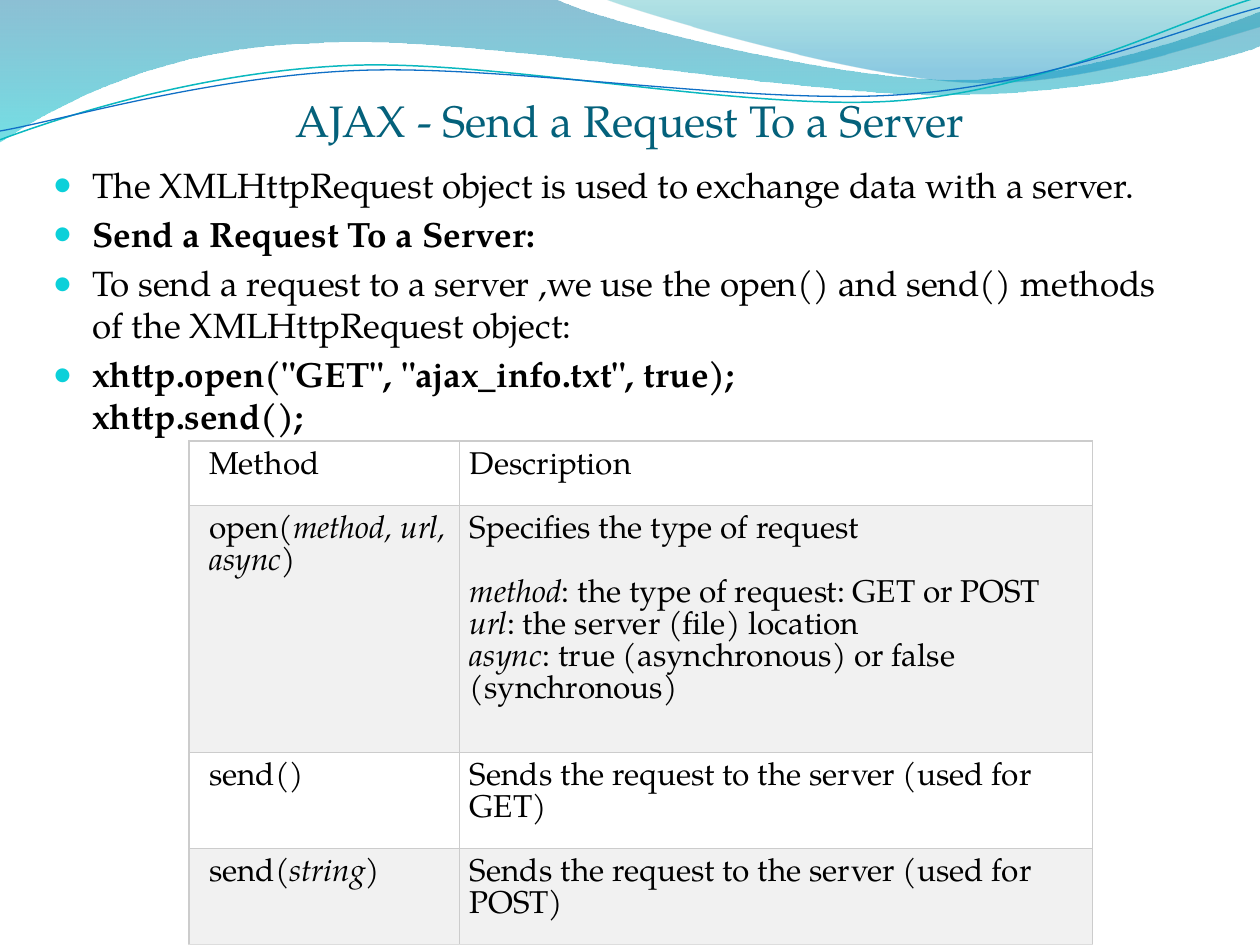
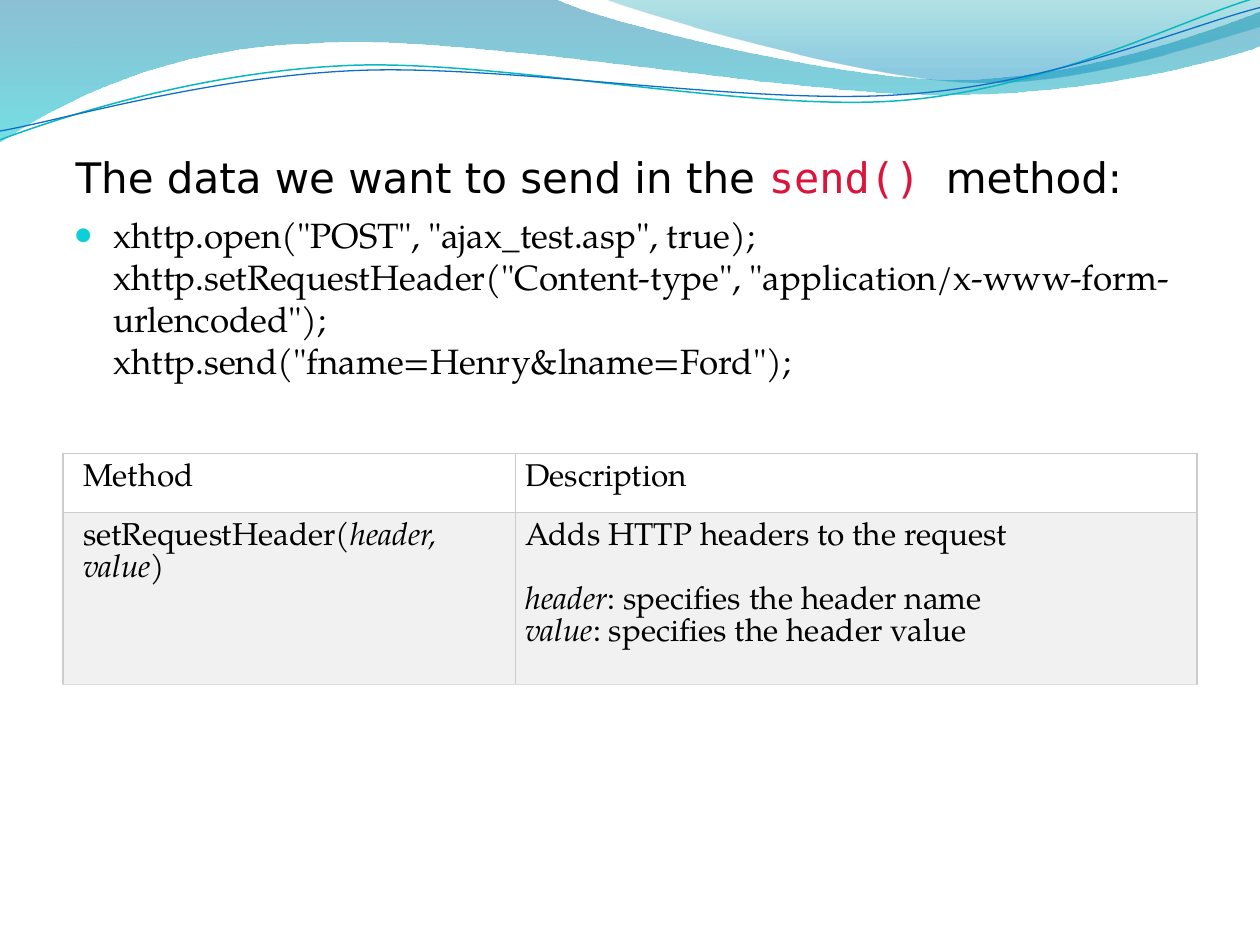
import dataclasses
import itertools
import typing

import pptx
import pptx.dml.color
import pptx.enum.text
import pptx.oxml
import pptx.oxml.ns
import pptx.util

ALIGN = pptx.enum.text.PP_ALIGN
ANCHOR = pptx.enum.text.MSO_ANCHOR
SERIF, SANS, MONO = "TeX Gyre Pagella", "DejaVu Sans", "DejaVu Sans Mono"
BLACK, TEAL, CRIMSON, CYAN = "000000", "04617B", "DC143C", "0BD0D9"
WHITE, STRIPE, RULE, LAST_RULE = "FFFFFF", "F1F1F1", "CCCCCC", "DDDDDD"
WIDTH, HEIGHT = pptx.util.Inches(10), pptx.util.Inches(7.5)
COLUMNS, ROWS = 100, 75


@dataclasses.dataclass(frozen=True)
class Box:
    col: float
    row: float
    cols: float
    rows: float

    def emu(self) -> tuple[int, int, int, int]:
        return across(self.col), down(self.row), across(self.cols), down(self.rows)


@dataclasses.dataclass(frozen=True)
class Stop:
    pos: int
    color: str
    alpha: int


@dataclasses.dataclass(frozen=True)
class Wave:
    start: tuple[float, float]
    segments: list[tuple[float, ...]]
    stops: tuple[Stop, ...] = ()
    line: str = ""
    weight: float = 0


@dataclasses.dataclass(frozen=True)
class Span:
    text: str
    font: str
    color: str


@dataclasses.dataclass(frozen=True)
class Bullet:
    text: str
    bold: bool = False


@dataclasses.dataclass(frozen=True)
class Line:
    text: str
    gap: float = 0


@dataclasses.dataclass(frozen=True)
class Grid:
    box: Box
    cols: tuple[float, ...]
    rows: tuple[float, ...]
    cells: list[list[list[Line]]]


WAVES = [
    Wave((-0.1, 0), [(44, -0.1), (47.6, 1.7, 66.4, 6.3, 75.8, 6.3),
                     (85.3, 6.3, 95.8, 2.6, 100, 0.9), (100.1, 3.6),
                     (98.3, 4.4, 87, 7.6, 74.6, 7.5), (62.2, 7.5, 38.2, 2.8, 25.7, 3.4),
                     (12.9, 3.6, 4.6, 8.3, -0.1, 11.3)],
         (Stop(0, "0074A1", 45), Stop(100, "00C6CF", 55))),
    Wave((47.9, -0.1), [(50.9, 1.1, 68.2, 6.2, 76.9, 6.5),
                        (85.6, 6.9, 96.1, 3.2, 100, 2.1), (100, 0)],
         (Stop(0, "00A1A9", 30), Stop(80, "008BBF", 45))),
    Wave((0, 11.1), [(4.8, 9.3, 15.8, 5.7, 27.7, 5.2), (39.5, 4.7, 59.3, 8.9, 71.3, 8),
                     (83.3, 7.1, 93.8, 1.5, 99.8, -0.2)], line="0AB8BF", weight=0.85),
    Wave((0, 10.4), [(4.7, 9.6, 16.4, 6.1, 28.3, 5.6), (40.3, 5.1, 59.7, 8.4, 71.7, 7.5),
                     (83.6, 6.7, 94.1, 2.1, 100, 0.6)], line="0F6FC6", weight=0.75),
]

HEADER = [[Line("Method")], [Line("Description")]]
LEADING = 18.3


def across(cols: float) -> int:
    return round(WIDTH * cols / COLUMNS)


def down(rows: float) -> int:
    return round(HEIGHT * rows / ROWS)


def rgb(color: str) -> pptx.dml.color.RGBColor:
    return pptx.dml.color.RGBColor.from_string(color)


def style(font: typing.Any, name: str, size: float, color: str) -> None:
    font.name, font.size = name, pptx.util.Pt(size)
    font.color.rgb = rgb(color)


def add_xml(parent: typing.Any, tag: str, rest: str) -> typing.Any:
    el = pptx.oxml.parse_xml(f"<a:{tag} {pptx.oxml.ns.nsdecls('a')} {rest}")
    parent.append(el)
    return el


def bend(sp: typing.Any, segments: list[tuple[float, ...]]) -> None:
    qn = pptx.oxml.ns.qn
    lines = iter(sp.element.findall(".//" + qn("a:lnTo")))
    for seg in segments:
        group = list(itertools.islice(lines, len(seg) // 2))
        if len(group) == 3:
            curve = add_xml(group[0].getparent(), "cubicBezTo", "/>")
            group[0].addprevious(curve)
            for el in group:
                curve.append(el[0])
                el.getparent().remove(el)


def draw_wave(slide: typing.Any, wave: Wave) -> typing.Any:
    rest = [(across(x), down(y)) for seg in wave.segments
            for x, y in zip(seg[::2], seg[1::2])]
    builder = slide.shapes.build_freeform(across(wave.start[0]), down(wave.start[1]))
    builder.add_line_segments(rest, close=bool(wave.stops))
    sp = builder.convert_to_shape()
    bend(sp, wave.segments)
    sp.shadow.inherit = False
    if wave.stops:
        sp.line.fill.background()
        sp.fill.gradient()
        sp.fill.gradient_angle = 270
        stops = sp.element.spPr.find(".//" + pptx.oxml.ns.qn("a:gsLst"))
        for el in list(stops):
            stops.remove(el)
        for stop in wave.stops:
            add_xml(stops, "gs", f'pos="{stop.pos * 1000}"><a:srgbClr val="{stop.color}">'
                                 f'<a:alpha val="{stop.alpha * 1000}"/></a:srgbClr></a:gs>')
    else:
        sp.fill.background()
        sp.line.color.rgb = rgb(wave.line)
        sp.line.width = pptx.util.Pt(wave.weight)
    return sp


def move_waves_to_layout(slide: typing.Any) -> None:
    for i, wave in enumerate(WAVES):
        sp = draw_wave(slide, wave)
        slide.slide_layout.shapes.element.insert(2 + i, sp.element)


def set_title(slide: typing.Any, box: Box, spans: list[Span], size: float,
              align: ALIGN, anchor: ANCHOR, inset: float) -> None:
    sp = slide.shapes.title
    sp.left, sp.top, sp.width, sp.height = box.emu()
    tf = sp.text_frame
    tf.auto_size = pptx.enum.text.MSO_AUTO_SIZE.NONE
    tf.word_wrap, tf.vertical_anchor = True, anchor
    tf.margin_left = tf.margin_right = across(inset)
    tf.margin_top = tf.margin_bottom = 0
    p = tf.paragraphs[0]
    p.alignment = align
    for span in spans:
        r = p.add_run()
        r.text = span.text
        style(r.font, span.font, size, span.color)


def add_bullets(slide: typing.Any, box: Box, bullets: list[Bullet]) -> None:
    tf = slide.shapes.add_textbox(*box.emu()).text_frame
    tf.word_wrap = True
    for i, bullet in enumerate(bullets):
        p = tf.add_paragraph() if i else tf.paragraphs[0]
        p.text = bullet.text
        pPr = p._p.get_or_add_pPr()
        pPr.set("marL", str(across(3)))
        pPr.set("indent", str(-across(3)))
        add_xml(pPr, "buClr", f'><a:srgbClr val="{CYAN}"/></a:buClr>')
        add_xml(pPr, "buSzPct", 'val="52000"/>')
        add_xml(pPr, "buFont", f'typeface="{SANS}"/>')
        add_xml(pPr, "buChar", 'char="●"/>')
        p.space_before = pptx.util.Pt(4 if i else 0)
        style(p.font, SERIF, 20, BLACK)
        for r in p.runs:
            style(r.font, SERIF, 20, BLACK)
            r.font.bold = bullet.bold


def set_borders(cell: typing.Any, bottom: str) -> None:
    tcPr = cell._tc.get_or_add_tcPr()
    sides = {"lnL": RULE, "lnR": RULE, "lnT": RULE, "lnB": bottom}
    for i, (side, color) in enumerate(sides.items()):
        el = add_xml(tcPr, side, f'w="9525"><a:solidFill><a:srgbClr val="{color}"/>'
                                 f'</a:solidFill></a:{side}>')
        tcPr.insert(i, el)


def fill_cell(cell: typing.Any, lines: list[Line], first_col: bool) -> None:
    cell.margin_left = across(1.6 if first_col else 0.8)
    cell.margin_right = across(0.8)
    cell.margin_top = cell.margin_bottom = down(0.8)
    tf = cell.text_frame
    for i, line in enumerate(lines):
        p = tf.add_paragraph() if i else tf.paragraphs[0]
        p.line_spacing = pptx.util.Pt(LEADING)
        p.space_before = pptx.util.Pt(line.gap)
        for j, part in enumerate(line.text.split("*")):
            if part:
                r = p.add_run()
                r.text = part
                style(r.font, SERIF, 18, BLACK)
                r.font.italic = j % 2 == 1


def add_grid(slide: typing.Any, grid: Grid) -> None:
    frame = slide.shapes.add_table(len(grid.rows), len(grid.cols), *grid.box.emu())
    table = frame.table
    table.first_row = table.horz_banding = False
    for column, cols in zip(table.columns, grid.cols):
        column.width = across(cols)
    for i, rows in enumerate(grid.rows):
        table.rows[i].height = down(rows)
        for j, lines in enumerate(grid.cells[i]):
            cell = table.cell(i, j)
            fill_cell(cell, lines, j == 0)
            cell.fill.solid()
            cell.fill.fore_color.rgb = rgb(STRIPE if i % 2 else WHITE)
            set_borders(cell, LAST_RULE if i == len(grid.rows) - 1 else RULE)


def build_request_slide(slide: typing.Any) -> None:
    set_title(slide, Box(5, 7.4, 90, 8.1),
              [Span("AJAX - Send a Request To a Server", SERIF, TEAL)],
              25.2, ALIGN.CENTER, ANCHOR.TOP, 0)
    add_bullets(slide, Box(3.35, 12.5, 90, 56.7), [
        Bullet("The XMLHttpRequest object is used to exchange data with a server."),
        Bullet("Send a Request To a Server:", True),
        Bullet("To send a request to a server ,we use the open() and send() methods "
               "of the XMLHttpRequest object:"),
        Bullet('xhttp.open("GET", "ajax_info.txt", true);\vxhttp.send();', True),
    ])
    add_grid(slide, Grid(Box(15, 35, 71.7, 40), (21.5, 50.2), (5.1, 19.6, 7.65, 7.65), [
        HEADER,
        [[Line("open(*method, url, async*)")],
         [Line("Specifies the type of request"),
          Line("*method*: the type of request: GET or POST", LEADING),
          Line("*url*: the server (file) location"),
          Line("*async*: true (asynchronous) or false (synchronous)")]],
        [[Line("send()")], [Line("Sends the request to the server (used for GET)")]],
        [[Line("send(*string*)")], [Line("Sends the request to the server (used for POST)")]],
    ]))


def build_header_slide(slide: typing.Any) -> None:
    set_title(slide, Box(5, 11.5, 90, 5),
              [Span("The data we want to send in the ", SANS, BLACK),
               Span("send() ", MONO, CRIMSON), Span("method:", SANS, BLACK)],
              24, ALIGN.LEFT, ANCHOR.MIDDLE, 1)
    add_bullets(slide, Box(5, 16.45, 90, 52.7), [
        Bullet('xhttp.open("POST", "ajax_test.asp", true);\v'
               'xhttp.setRequestHeader("Content-type", "application/x-www-form-urlencoded");\v'
               'xhttp.send("fname=Henry&lname=Ford");'),
    ])
    add_grid(slide, Grid(Box(5, 36, 90, 18.3), (35.9, 54.1), (4.65, 13.65), [
        HEADER,
        [[Line("setRequestHeader(*header, value*)")],
         [Line("Adds HTTP headers to the request"),
          Line("*header*: specifies the header name", LEADING),
          Line("*value*: specifies the header value")]],
    ]))


def main() -> None:
    prs = pptx.Presentation()
    prs.slide_width, prs.slide_height = WIDTH, HEIGHT
    layout = prs.slide_layouts[5]
    request, header = (prs.slides.add_slide(layout) for _ in range(2))
    move_waves_to_layout(request)
    build_request_slide(request)
    build_header_slide(header)
    prs.save("out.pptx")


if __name__ == "__main__":
    main()
